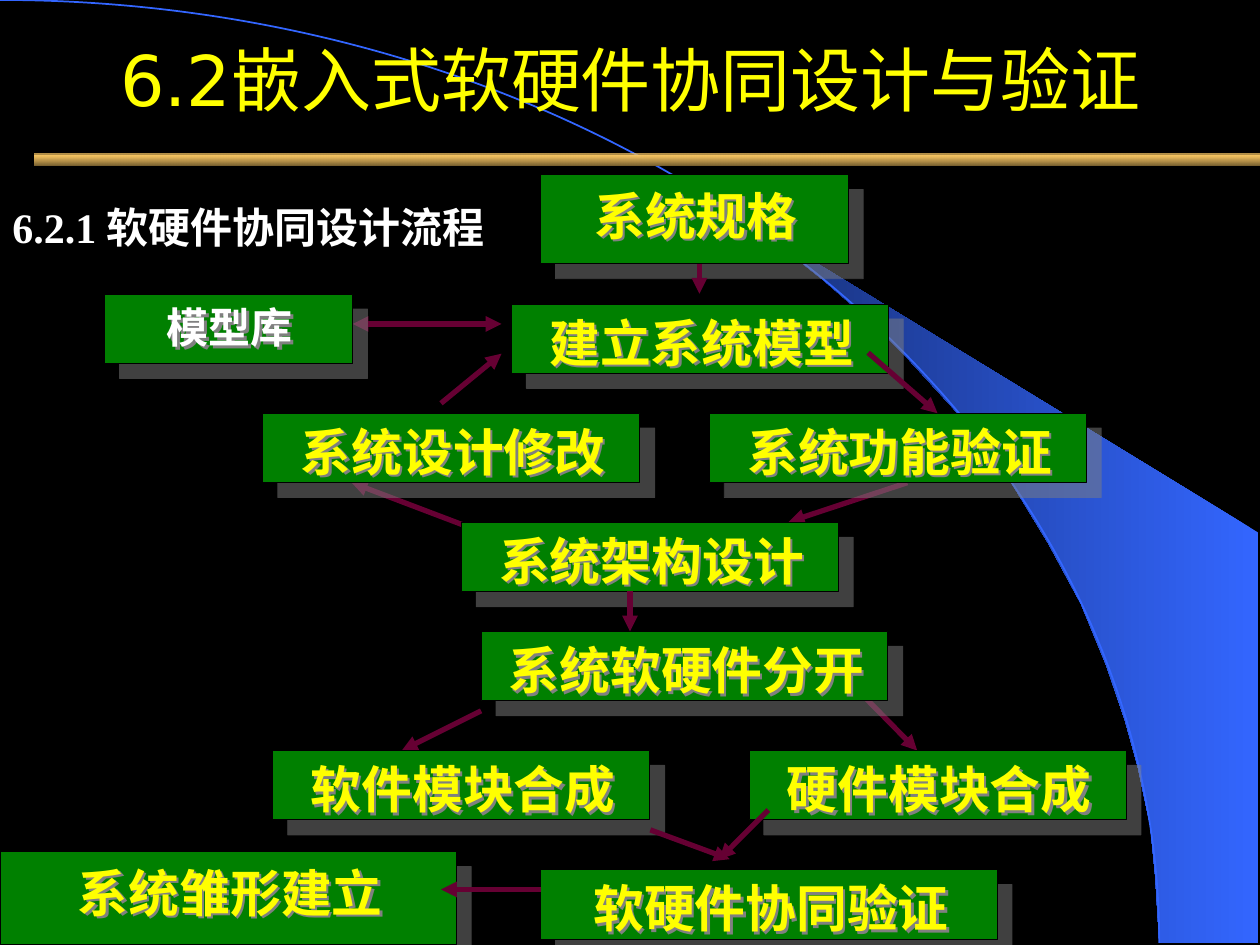
from typing import NamedTuple

from lxml import etree
from pptx import Presentation
from pptx.dml.color import RGBColor
from pptx.enum.shapes import MSO_CONNECTOR, MSO_SHAPE
from pptx.enum.text import MSO_ANCHOR, MSO_AUTO_SIZE, PP_ALIGN
from pptx.oxml import parse_xml
from pptx.oxml.ns import nsdecls, qn
from pptx.util import Cm, Pt

STRAIGHT = MSO_CONNECTOR.STRAIGHT
RECT, ARC = MSO_SHAPE.RECTANGLE, MSO_SHAPE.ARC
CENTER, LEFT = PP_ALIGN.CENTER, PP_ALIGN.LEFT
TOP, MIDDLE = MSO_ANCHOR.TOP, MSO_ANCHOR.MIDDLE
GROW = MSO_AUTO_SIZE.SHAPE_TO_FIT_TEXT

CJK = "Noto Sans CJK SC"
YELLOW, WHITE, BLACK = "FFFF00", "FFFFFF", "000000"
GREEN, PLUM, GRAY, BLUE = "008000", "660033", "808080", "3366FF"


class Box(NamedTuple):
    """A step of the flow; lengths in cm."""
    text: str
    x: float
    y: float
    w: float = 7.6
    h: float = 1.4
    size: int = 29
    color: str = YELLOW


class Arrow(NamedTuple):
    """An arrow between two points in cm."""
    x1: float
    y1: float
    x2: float
    y2: float
    both: bool = False


BOXES = [
    Box("系统雏形建立", 0, 17.17, 9.2, 1.88),
    Box("系统规格", 10.9, 3.52, 6.2, 1.8),
    Box("建立系统模型", 10.31, 6.13),
    Box("模型库", 2.11, 5.93, 5, size=24, color=WHITE),
    Box("系统设计修改", 5.3, 8.33),
    Box("系统功能验证", 14.3, 8.33),
    Box("系统架构设计", 9.3, 10.53),
    Box("硬件模块合成", 15.1, 15.13),
    Box("软件模块合成", 5.5, 15.13),
    Box("软硬件协同验证", 10.9, 17.53, 9.2),
    Box("系统软硬件分开", 9.7, 12.73, 8.2),
]
BACK_ARROWS = [
    Arrow(9.7, 10.72, 7.09, 9.73),
    Arrow(7.11, 6.53, 10.11, 6.53, both=True),
    Arrow(18.29, 9.73, 15.9, 10.52),
    Arrow(9.7, 14.33, 8.1, 15.13),
    Arrow(17.3, 13.92, 18.49, 15.13),
]
FRONT_ARROWS = [
    Arrow(14.1, 5.33, 14.1, 5.92),
    Arrow(8.89, 8.13, 10.11, 7.13),
    Arrow(13.11, 16.73, 14.71, 17.32),
    Arrow(15.49, 16.33, 14.5, 17.32),
    Arrow(10.9, 17.93, 8.89, 17.93),
    Arrow(12.7, 11.91, 12.7, 12.73),
    Arrow(17.5, 7.11, 18.9, 8.33),
]
# Outline of the blue beam, in hundredths of a cm
BEAM = [
    (2337, 1900), (2537, 1902), (2537, 1074), (1496, 439), (1585, 505),
    (1659, 564), (1740, 635), (1819, 711), (1935, 838), (2040, 975),
    (2113, 1095), (2179, 1217), (2230, 1341), (2268, 1453), (2294, 1547),
    (2319, 1666), (2329, 1768),
]


def rgb(color: str) -> RGBColor:
    return RGBColor.from_string(color)


def add_shadow(sp, distance: int, alpha: int) -> None:
    sp._element.spPr.append(parse_xml(
        f'<a:effectLst {nsdecls("a")}><a:outerShdw dist="{distance}" dir="2700000">'
        f'<a:srgbClr val="{GRAY}"><a:alpha val="{alpha * 1000}"/></a:srgbClr>'
        f'</a:outerShdw></a:effectLst>'))


def add_run(p, text: str, size: int, color: str, latin: str, bold: bool) -> None:
    r = p.add_run()
    r.text = text
    r.font.size, r.font.bold, r.font.name = Pt(size), bold, latin
    r.font.color.rgb = rgb(color)
    ea = etree.Element(qn("a:ea"), typeface=CJK)
    r.font._element.find(qn("a:latin")).addnext(ea)


def set_gradient(sp, first: str, last: str, angle: int, alpha: int = 100) -> None:
    sp.shadow.inherit = False
    sp.line.fill.background()
    sp.fill.gradient()
    sp.fill.gradient_angle = angle
    for stop, color, position in zip(sp.fill.gradient_stops, (first, last), (0, 1)):
        stop.color.rgb = rgb(color)
        stop.position = position
    if alpha < 100:
        clr = sp._element.spPr.find(".//" + qn("a:srgbClr"))
        etree.SubElement(clr, qn("a:alpha"), val=str(alpha * 1000))


def add_box(s, box: Box) -> None:
    """Group a shadowed panel with its shadowed label."""
    group = s.shapes.add_group_shape()
    sp = group.shapes.add_shape(RECT, Cm(box.x), Cm(box.y), Cm(box.w), Cm(box.h))
    sp.fill.solid()
    sp.fill.fore_color.rgb = rgb(GREEN)
    sp.line.color.rgb = rgb(BLACK)
    sp.line.width = Pt(0.5)
    add_shadow(sp, Pt(12.1), 50)

    label = group.shapes.add_textbox(
        Cm(box.x + 0.05 * box.w), Cm(box.y + 0.11 * box.h),
        Cm(0.91 * box.w), Pt(1.2 * box.size))
    label.fill.background()
    add_shadow(label, Pt(1.8), 100)
    tf = label.text_frame
    tf.word_wrap = True
    tf.auto_size = GROW
    tf.vertical_anchor = TOP
    tf.margin_left = tf.margin_top = tf.margin_right = tf.margin_bottom = 0
    p = tf.paragraphs[0]
    p.alignment = CENTER
    add_run(p, box.text, box.size, box.color, CJK, True)


def add_arrow(s, arrow: Arrow) -> None:
    c = s.shapes.add_connector(STRAIGHT, Cm(arrow.x1), Cm(arrow.y1),
                               Cm(arrow.x2), Cm(arrow.y2))
    c.line.color.rgb = rgb(PLUM)
    c.line.width = Pt(3)
    ends = ("a:headEnd", "a:tailEnd") if arrow.both else ("a:tailEnd",)
    for end in ends:
        etree.SubElement(c.line._ln, qn(end), type="triangle")
    etree.SubElement(c._element.spPr, qn("a:effectLst"))


def add_background(s) -> None:
    s.background.fill.solid()
    s.background.fill.fore_color.rgb = rgb(BLACK)
    builder = s.shapes.build_freeform(*BEAM[0], scale=Cm(0.01))
    builder.add_line_segments(BEAM[1:])
    set_gradient(builder.convert_to_shape(), BLUE, "172F75", 180)
    arc = s.shapes.add_shape(ARC, Cm(-23.37), 0, Cm(46.74), Cm(38.02))
    arc.shadow.inherit = False
    arc.fill.background()
    arc.line.color.rgb = rgb(BLUE)
    arc.line.width = Pt(1)
    # Translucent gold bars, layered
    for y in (3.1, 3.13, 3.13):
        bar = s.shapes.add_shape(RECT, Cm(0.69), Cm(y), Cm(24.71), Cm(0.21))
        set_gradient(bar, "FFCC66", "755E2F", 270, alpha=70)


def add_headings(s) -> None:
    title = s.shapes.title
    title.left, title.top, title.width, title.height = Cm(1.3), 0, Cm(22.81), Cm(3.18)
    tf = title.text_frame
    tf.vertical_anchor = MIDDLE
    p = tf.paragraphs[0]
    p.alignment = CENTER
    add_run(p, "6.2嵌入式软硬件协同设计与验证", 40, YELLOW, "DejaVu Sans", False)
    title.element.getparent().append(title.element)  # in front of the arc

    tf = s.shapes.add_textbox(0, Cm(3.94), Cm(25.4), Cm(1.27)).text_frame
    tf.word_wrap = True
    p = tf.paragraphs[0]
    p.alignment = LEFT
    add_run(p, "6.2.1 软硬件协同设计流程", 24, WHITE, "Times New Roman", True)


def main() -> None:
    prs = Presentation()
    prs.slide_width, prs.slide_height = Cm(25.4), Cm(19.05)
    s = prs.slides.add_slide(prs.slide_layouts[5])
    add_background(s)
    add_headings(s)
    # Flow chart: some arrows run under the boxes, the rest over them
    for arrow in BACK_ARROWS:
        add_arrow(s, arrow)
    for box in BOXES:
        add_box(s, box)
    for arrow in FRONT_ARROWS:
        add_arrow(s, arrow)
    prs.save("out.pptx")


if __name__ == "__main__":
    main()
